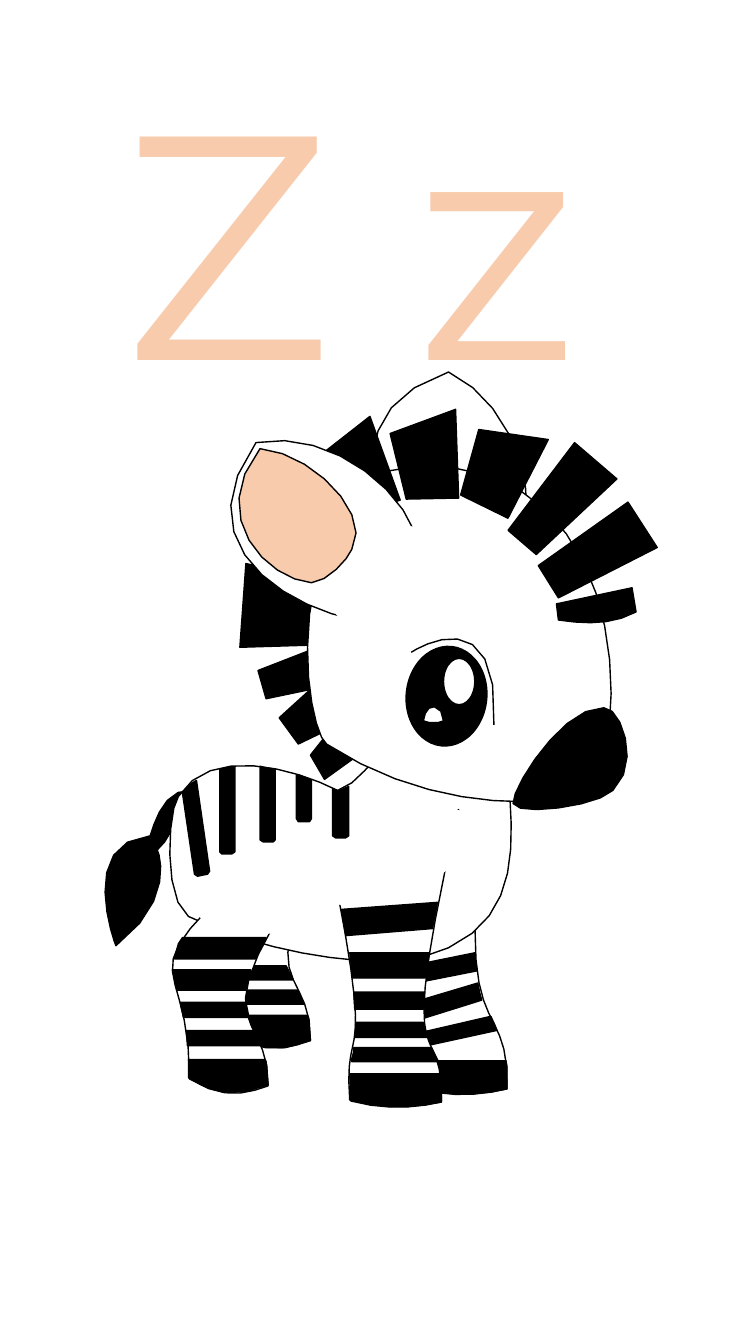
from math import dist, sqrt

from pptx import Presentation
from pptx.dml.color import RGBColor
from pptx.enum.shapes import MSO_SHAPE
from pptx.enum.text import MSO_ANCHOR, MSO_AUTO_SIZE, PP_ALIGN
from pptx.util import Cm, Pt

BLACK = RGBColor(0x00, 0x00, 0x00)
WHITE = RGBColor(0xFF, 0xFF, 0xFF)
PEACH = RGBColor(0xF8, 0xCB, 0xAD)

# Outlines in hundredths of an inch: M start, L lines, C cubic curves, Z close
HIND_LEG = "M 315,870 L 250,855 C 180,926 231,914 230,1025 263,1046 286,1040 308,1032 310,963 252,978 315,870 Z"
HIND_HOOF = "M 305,1007 L 229,1007 229,1025 C 242,1033 253,1037 263,1039 L 283,1039 291,1037 308,1032 306,1009 Z"
FORE_HOOF = "M 502,1052 L 412,1052 413,1079 C 446,1088 478,1086 503,1080 L 503,1058 Z"
BAND = "M 295,982 L 218,982 218,986 216,993 216,996 302,996 297,986 Z"
FAR_FORELEG = "M 478,829 L 388,809 C 442,1071 406,989 413,1079 446,1089 478,1086 503,1080 506,984 453,1043 478,829 Z"
FAR_FORELEG_STRIPES = [
    "M 474,975 L 407,995 414,1012 478,992 476,985 Z",
    "M 471,945 L 402,959 407,976 473,963 472,956 Z",
    "M 487,1008 L 422,1023 424,1037 493,1022 491,1017 Z",
]
FAR_EAR = "M 445,369 C 312,413 387,545 434,583 L 496,569 C 547,534 523,406 445,369 Z"
NECK_MANE = [
    "M 238,642 L 305,640 314,573 244,559 Z",
    "M 264,693 L 312,683 310,644 256,665 Z",
    "M 296,738 L 323,725 310,682 277,712 Z",
    "M 322,773 L 354,750 327,725 308,749 Z",
]
TAIL = ("M 191,784 C 164,781 154,813 149,829 76,835 114,936 115,938 174,893 158,846 156,843 "
        "168,836 180,792 192,814 Z")
BODY = ("M 504,765 L 401,732 C 376,738 360,777 335,784 292,762 208,739 177,790 167,802 161,891 187,909 "
        "268,948 368,959 414,951 519,924 510,844 504,765 Z")
HEAD = "M 362,471 C 276,580 309,729 324,738 435,811 564,800 592,781 634,654 591,415 362,471 Z"
EYEBROW = "M 490,719 C 497,592 414,643 408,647"
EYE_GLINT = "M 440,715 C 440,708 436,701 431,701 425,700 421,707 420,715 422,717 438,718 440,715 Z"
NOSE = "M 608,784 C 637,757 615,700 599,702 558,700 507,783 509,797 512,810 593,800 608,784 Z"
NEAR_FORELEG = "M 455,803 L 322,821 C 377,1083 340,1001 347,1091 381,1101 413,1098 438,1093 440,996 388,1095 455,803 Z"
HEAD_MANE = [
    "M 623,498 L 534,561 554,593 652,543 Z",
    "M 570,439 L 504,526 532,550 612,475 Z",
    "M 475,426 L 457,491 504,514 544,436 Z",
    "M 387,430 L 403,495 455,494 452,406 Z",
    "M 312,456 L 347,513 397,496 367,413 Z",
    "M 627,583 L 552,599 554,615 C 581,619 607,620 631,607 Z",
]
NEAR_EAR = "M 254,439 C 172,553 312,615 372,617 L 414,569 C 433,511 339,422 254,439 Z"
INNER_EAR = "M 258,445 C 204,513 266,575 309,578 325,577 345,555 349,545 370,510 309,449 258,445 Z"
# White patches that blend ear and legs into head and body
PATCHES = [
    "M 459,540 C 388,490 329,555 328,597 331,613 354,633 364,635 399,655 457,591 459,540 Z",
    "M 480,826 C 426,755 325,800 301,841 295,857 311,883 321,889 351,920 451,875 480,826 Z",
    "M 305,918 C 304,850 224,835 192,851 181,859 179,882 183,890 187,922 266,937 305,918 Z",
]
NEAR_FORELEG_STRIPES = [
    "M 434,895 L 339,902 343,928 429,921 Z",
    "M 426,945 L 347,945 350,970 422,970 Z",
    "M 421,984 L 351,984 352,1001 420,1001 Z",
    "M 420,1014 L 353,1014 352,1029 423,1029 Z",
]
NEAR_HIND_STRIPES = [
    "M 264,930 L 181,930 177,936 173,951 254,951 256,946 Z",
    "M 249,962 L 171,962 176,982 244,982 Z",
    "M 244,994 L 179,994 182,1009 247,1009 Z",
    "M 252,1022 L 185,1022 186,1037 259,1037 Z",
]
BACK_STRIPES = [
    "M 233,761 L 228,761 218,763 218,845 220,847 230,847 233,845 Z",
    "M 258,760 L 258,833 261,835 271,835 273,833 273,763 262,761 Z",
    "M 294,769 L 294,812 296,815 307,815 309,812 309,774 297,769 Z",
    "M 195,774 L 190,777 181,786 193,867 196,869 206,867 208,864 Z",
    "M 346,780 L 335,785 330,782 330,829 333,831 343,831 346,829 Z",
]


def unit(value):
    return Cm(value * 0.0254)


def curve(p0, p1, p2, p3):
    length = dist(p0, p1) + dist(p1, p2) + dist(p2, p3)
    steps = max(2, round(sqrt(length) / 1.8))
    for step in range(1, steps + 1):
        t = step / steps
        u = 1 - t
        yield tuple(u**3 * a + 3 * u * u * t * b + 3 * u * t * t * c + t**3 * d
                    for a, b, c, d in zip(p0, p1, p2, p3))


def trace(outline, dx, dy):
    points, controls, mode = [], [], "M"
    for token in outline.split():
        if token.isalpha():
            mode = token
            continue
        x, y = token.split(",")
        controls.append((int(x) + dx, int(y) + dy))
        if mode != "C":
            points += controls
            controls = []
        elif len(controls) == 3:
            points += curve(points[-1], *controls)
            controls = []
    return [(unit(x), unit(y)) for x, y in points]


def paint(shape, fill, line=BLACK):
    shape.shadow.inherit = False
    if fill is None:
        shape.fill.background()
    else:
        shape.fill.solid()
        shape.fill.fore_color.rgb = fill
    if line is None:
        shape.line.fill.background()
    else:
        shape.line.color.rgb = line
        shape.line.width = Pt(1)


def draw(g, *outlines, fill=BLACK, line=BLACK, dx=0, dy=0):
    for outline in outlines:
        start, *rest = trace(outline, dx, dy)
        fb = g.shapes.build_freeform(*start, scale=1.0)
        fb.add_line_segments(rest, close=outline.endswith("Z"))
        paint(fb.convert_to_shape(), fill, line)


def oval(g, x, y, w, h, fill, rotation=0):
    shape = g.shapes.add_shape(MSO_SHAPE.OVAL, unit(x), unit(y), unit(w), unit(h))
    shape.rotation = rotation
    paint(shape, fill)


def write_title(title, text, size, font, color):
    title.left, title.top, title.width, title.height = unit(113), unit(36), unit(542), unit(394)
    tf = title.text_frame
    tf.word_wrap = True
    tf.auto_size = MSO_AUTO_SIZE.NONE
    tf.vertical_anchor = MSO_ANCHOR.TOP
    p = tf.paragraphs[0]
    p.alignment = PP_ALIGN.LEFT
    r = p.add_run()
    r.text = text
    r.font.size, r.font.name = Pt(size), font
    r.font.color.rgb = color


def main():
    prs = Presentation()
    prs.slide_width, prs.slide_height = unit(750), unit(1333)
    s = prs.slides.add_slide(prs.slide_layouts[5])
    write_title(s.shapes.title, "Z z", size=228, font="Montserrat", color=PEACH)
    g = s.shapes.add_group_shape()

    # Far legs
    draw(g, HIND_LEG, fill=WHITE)
    draw(g, HIND_HOOF, BAND)
    draw(g, BAND, dx=-11, dy=-24)
    draw(g, FAR_FORELEG, fill=WHITE)
    draw(g, FORE_HOOF, *FAR_FORELEG_STRIPES)

    # Far ear, neck mane, tail, body and head
    draw(g, FAR_EAR, fill=WHITE)
    draw(g, *NECK_MANE, TAIL)
    draw(g, BODY, HEAD, fill=WHITE)

    # Face
    draw(g, EYEBROW, fill=None)
    oval(g, 403, 641, 80, 99, BLACK, rotation=6)
    oval(g, 440, 653, 31, 46, WHITE)
    draw(g, EYE_GLINT, fill=WHITE)
    draw(g, NOSE)

    # Near legs, head mane and near ear
    draw(g, NEAR_FORELEG, fill=WHITE)
    draw(g, FORE_HOOF, dx=-65, dy=13)
    draw(g, *HEAD_MANE)
    draw(g, HIND_LEG, fill=WHITE, dx=-42, dy=45)
    draw(g, HIND_HOOF, dx=-42, dy=44)
    draw(g, NEAR_EAR, fill=WHITE)
    draw(g, INNER_EAR, fill=PEACH)
    draw(g, *PATCHES, fill=WHITE, line=None)

    # Stripes
    draw(g, *NEAR_FORELEG_STRIPES)
    draw(g, BAND, dx=133, dy=57)
    draw(g, *NEAR_HIND_STRIPES, *BACK_STRIPES)

    prs.save("out.pptx")


if __name__ == "__main__":
    main()
